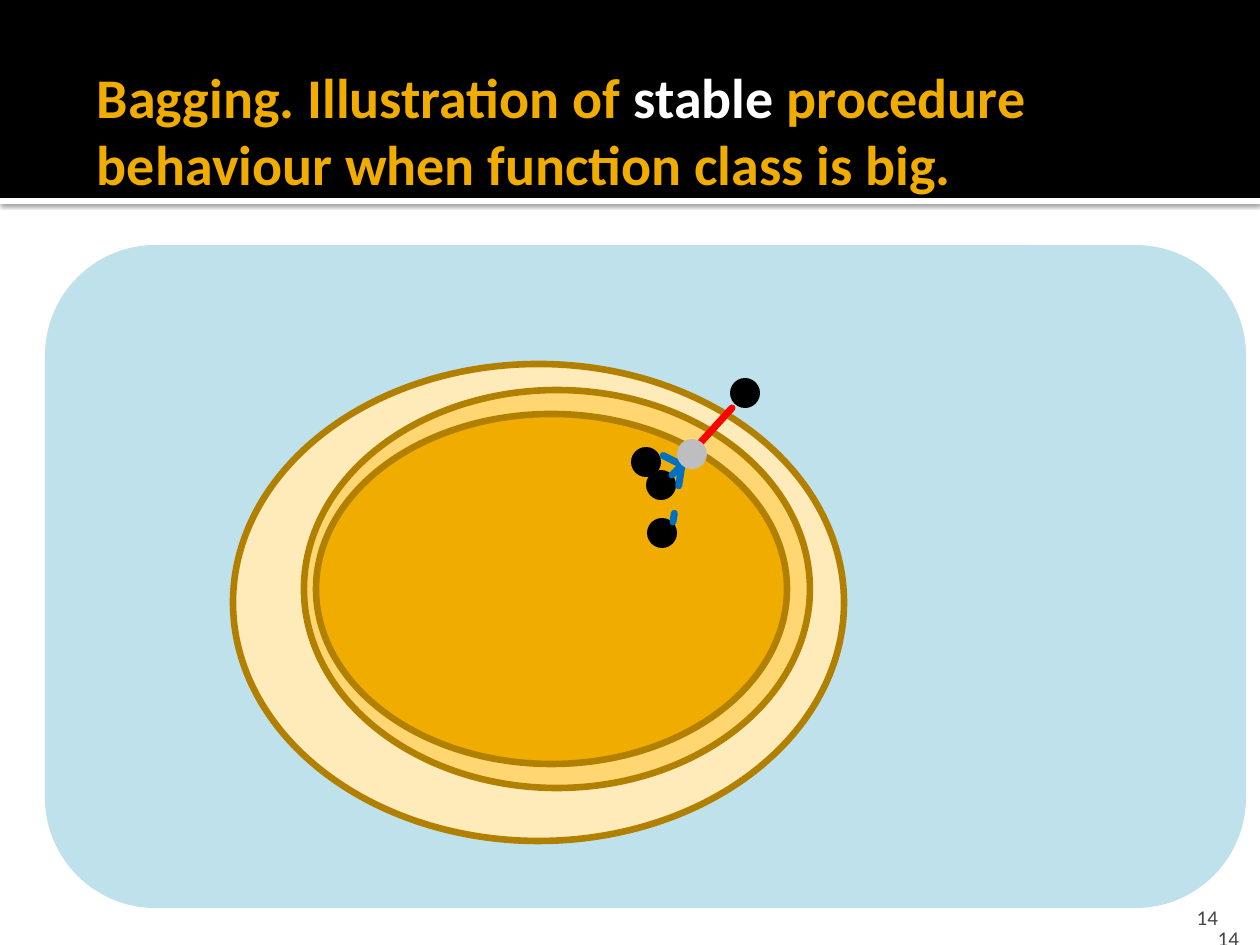
import pptx
import pptx.util
import pptx.dml.color
import pptx.enum.dml
import pptx.enum.shapes
import pptx.enum.text
import pptx.oxml
import pptx.oxml.ns
from dataclasses import dataclass

PX = 914400 / 126
SHAPE = pptx.enum.shapes.MSO_SHAPE
ANCHOR = pptx.enum.text.MSO_ANCHOR


@dataclass(frozen=True)
class Theme:
    font: str = "Calibri"
    title_size: int = 32
    number_size: int = 12
    outline_width: float = 3.78
    link_width: float = 4
    black: str = "000000"
    white: str = "FFFFFF"
    gold: str = "F0AD00"
    gold_mid: str = "FFD671"
    gold_pale: str = "FFEBB9"
    outline: str = "B28000"
    panel: str = "BFE1EB"
    target: str = "BEBEC1"
    error: str = "FF0000"
    step: str = "0070C0"
    number: str = "454545"


def px(n):
    return pptx.util.Emu(round(n * PX))


def rgb(color):
    return pptx.dml.color.RGBColor.from_string(color)


class Builder:
    def __init__(self, slide, theme):
        self.s = slide
        self.t = theme

    def shape(self, kind, x, y, w, h, fill, line=None):
        sp = self.s.shapes.add_shape(kind, px(x), px(y), px(w), px(h))
        sp.shadow.inherit = False
        sp.fill.solid()
        sp.fill.fore_color.rgb = rgb(fill)
        if line:
            sp.line.color.rgb = rgb(line)
            sp.line.width = pptx.util.Pt(self.t.outline_width)
        else:
            sp.line.fill.background()
        return sp

    def soft_shadow(self, sp):
        effects = sp.element.spPr.find(pptx.oxml.ns.qn("a:effectLst"))
        effects.append(pptx.oxml.parse_xml(
            f'<a:outerShdw {pptx.oxml.ns.nsdecls("a")} blurRad="31750" dist="10160"'
            ' dir="5400000" algn="tl" rotWithShape="0"><a:srgbClr val="000000">'
            '<a:alpha val="60000"/></a:srgbClr></a:outerShdw>'))

    def region(self, x, y, w, h, fill):
        self.shape(SHAPE.OVAL, x, y, w, h, fill, self.t.outline)

    def dot(self, x, y, fill):
        self.shape(SHAPE.OVAL, x, y, 30, 30, fill)

    def link(self, start, end, color, dashed=False):
        c = self.s.shapes.add_connector(
            pptx.enum.shapes.MSO_CONNECTOR.STRAIGHT, *map(px, start + end))
        c.line.color.rgb = rgb(color)
        c.line.width = pptx.util.Pt(self.t.link_width)
        if dashed:
            c.line.dash_style = pptx.enum.dml.MSO_LINE.DASH
        spPr = c.element.spPr
        spPr.find(pptx.oxml.ns.qn("a:ln")).set("cap", "rnd")
        spPr.append(pptx.oxml.parse_xml(
            f'<a:effectLst {pptx.oxml.ns.nsdecls("a")}/>'))

    def frame(self, sp, anchor, left, top, right, bottom):
        tf = sp.text_frame
        tf.word_wrap = True
        tf.auto_size = pptx.enum.text.MSO_AUTO_SIZE.NONE
        tf.vertical_anchor = anchor
        tf.margin_left, tf.margin_top = px(left), px(top)
        tf.margin_right, tf.margin_bottom = px(right), px(bottom)
        return tf

    def style(self, r, size, color, bold=False):
        r.font.name = self.t.font
        r.font.size = pptx.util.Pt(size)
        r.font.bold = bold
        r.font.color.rgb = rgb(color)

    def title(self, x, y, w, h, parts):
        sp = self.s.shapes.title
        sp.left, sp.top, sp.width, sp.height = px(x), px(y), px(w), px(h)
        p = self.frame(sp, ANCHOR.MIDDLE, 13, 6, 6, 6).paragraphs[0]
        p.alignment = pptx.enum.text.PP_ALIGN.LEFT
        for text, color in parts:
            r = p.add_run()
            r.text = text
            self.style(r, self.t.title_size, color, True)
        # Bring the title in front of the black band
        sp.element.getparent().append(sp.element)

    def number(self, x, y, text):
        sp = self.s.shapes.add_textbox(px(x), px(y), px(101), px(38))
        tf = self.frame(sp, ANCHOR.BOTTOM, 13, 6, 13, 0)
        tf.text = text
        p = tf.paragraphs[0]
        p.alignment = pptx.enum.text.PP_ALIGN.RIGHT
        self.style(p.runs[0], self.t.number_size, self.t.number)


def main():
    prs = pptx.Presentation()
    prs.slide_width, prs.slide_height = px(1260), px(945)
    t = Theme()
    b = Builder(prs.slides.add_slide(prs.slide_layouts[5]), t)

    # Header band and its lower edge
    b.soft_shadow(b.shape(SHAPE.RECTANGLE, 0, 198, 1260, 6, t.white))
    b.shape(SHAPE.RECTANGLE, 0, 0, 1260, 198, t.black)
    b.number(1130, 892, "14")

    # Panel and nested function classes
    b.shape(SHAPE.ROUNDED_RECTANGLE, 45, 245, 1201, 663, t.panel)
    b.region(233, 364, 611, 477, t.gold_pale)
    b.region(304, 390, 506, 398, t.gold_mid)
    b.dot(730, 378, t.black)
    b.region(316, 414, 471, 350, t.gold)

    # Estimates inside the smallest class
    for x, y in ((646, 470), (631, 447), (647, 518)):
        b.dot(x, y, t.black)

    # Error line and the dashed lines that meet near the grey point
    b.link((732, 408), (692, 452), t.error)
    for end in ((672, 475), (656, 452), (673, 522)):
        b.link((682, 465), end, t.step, dashed=True)
    b.dot(677, 439, t.target)

    # Title and second slide number
    b.title(84, 43, 1134, 173, (
        ("Bagging. Illustration of ", t.gold),
        ("stable ", t.white),
        ("procedure behaviour when function class is big.", t.gold)))
    b.number(1151, 913, "14")

    prs.save("out.pptx")


if __name__ == "__main__":
    main()
